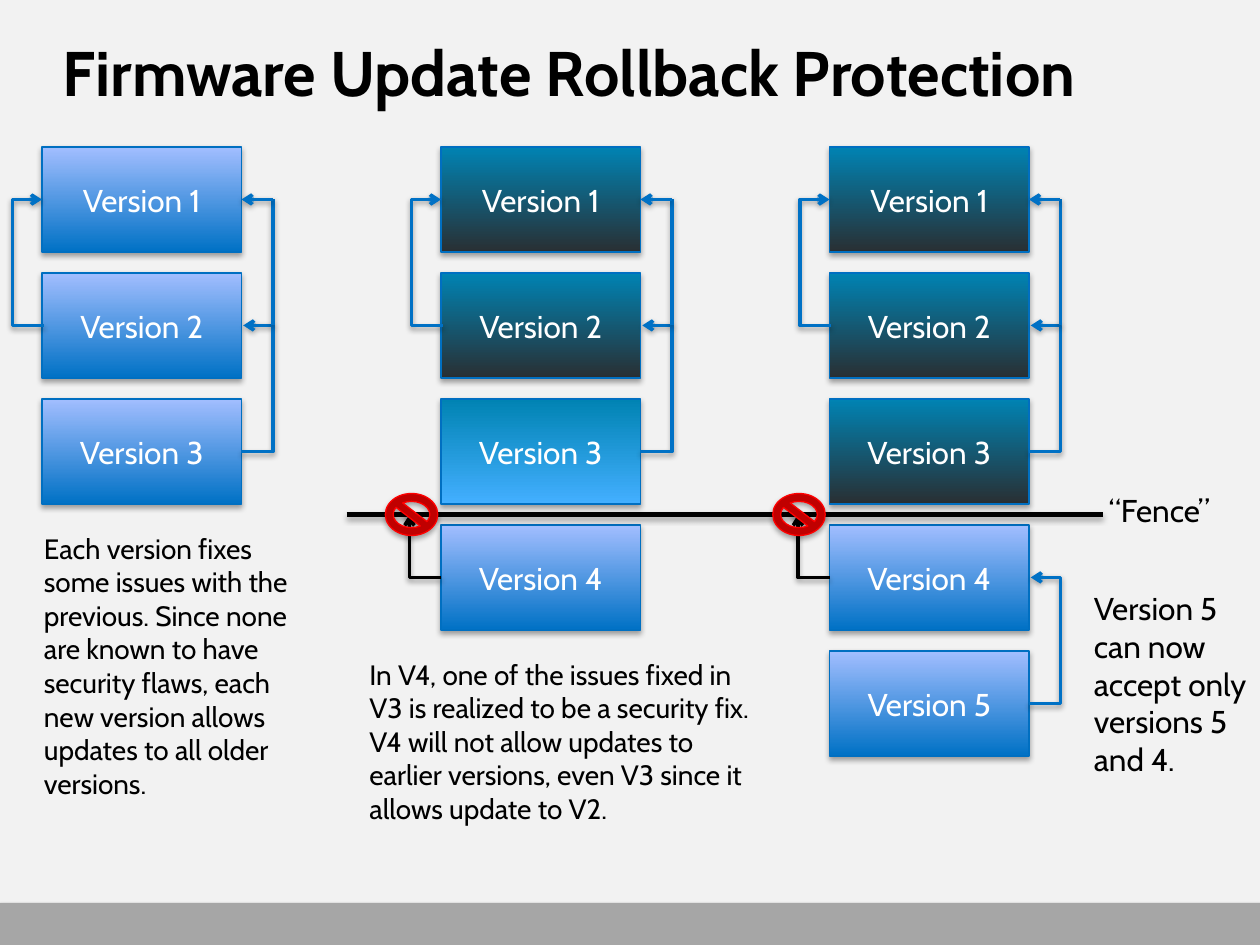
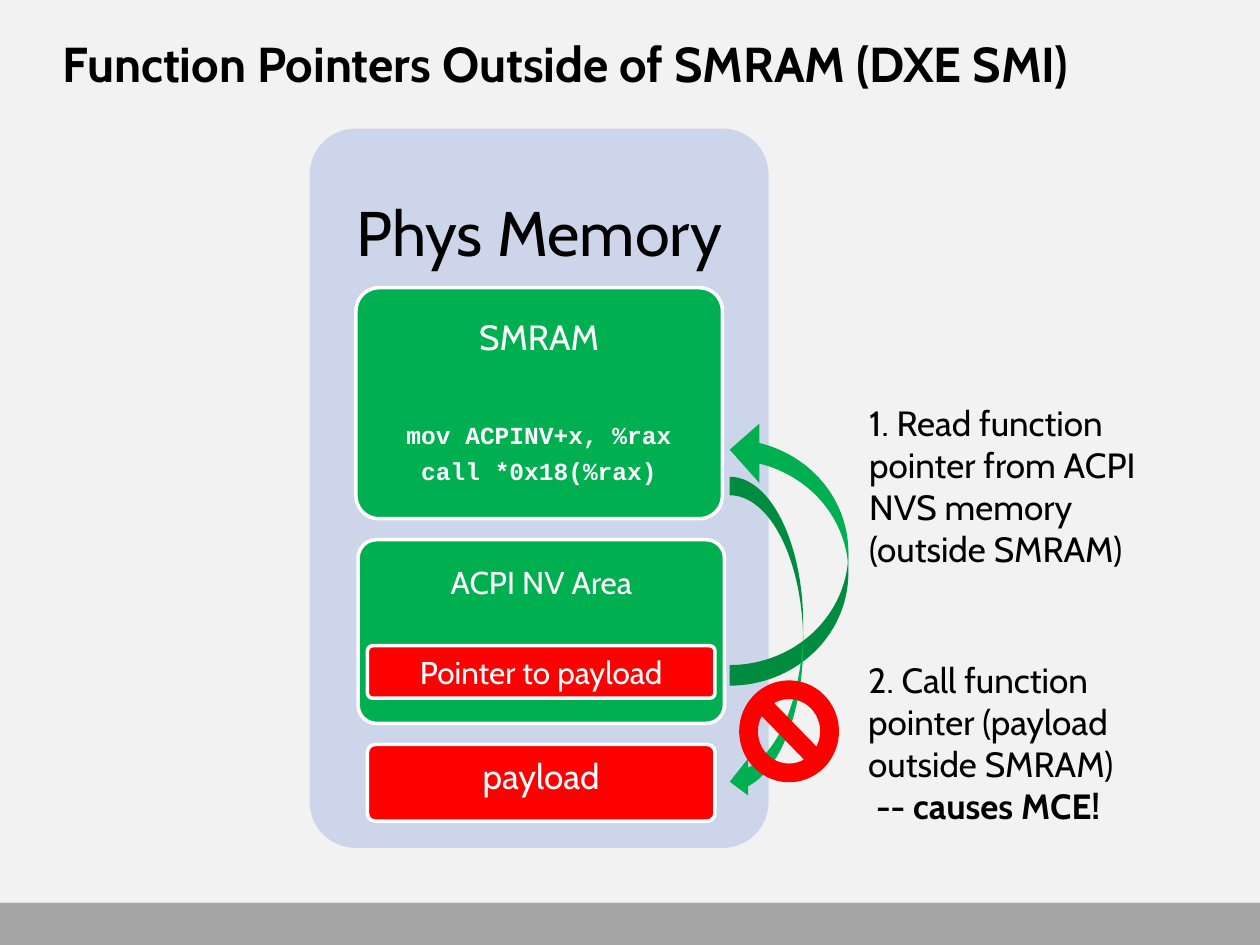
"""Builds two firmware security slides on a grid of 120 columns by 90 rows."""
from lxml.etree import SubElement
from pptx import Presentation
from pptx.dml.color import RGBColor
from pptx.enum.shapes import MSO_CONNECTOR as LINK, MSO_SHAPE as SHAPE
from pptx.enum.text import MSO_ANCHOR as ANCHOR, PP_ALIGN as ALIGN
from pptx.oxml.ns import qn
from pptx.util import Inches, Pt

BLACK = RGBColor(0x00, 0x00, 0x00)
WHITE = RGBColor(0xFF, 0xFF, 0xFF)
PAPER = RGBColor(0xF2, 0xF2, 0xF2)
BAND = RGBColor(0xA6, 0xA6, 0xA6)
BLUE = RGBColor(0x00, 0x71, 0xC5)
EDGE = RGBColor(0x00, 0x6F, 0xC1)
PERIWINKLE = RGBColor(0xA2, 0xBE, 0xFF)
TEAL = RGBColor(0x00, 0x83, 0xB3)
SKY = RGBColor(0x43, 0xAF, 0xFF)
CHARCOAL = RGBColor(0x29, 0x2F, 0x33)
RED = RGBColor(0xFF, 0x00, 0x00)
DARK_RED = RGBColor(0xC0, 0x00, 0x00)
GREEN = RGBColor(0x00, 0xB0, 0x50)
LAVENDER = RGBColor(0xCC, 0xD5, 0xEA)

ALLOWED = (BLUE, PERIWINKLE)
BLOCKED = (CHARCOAL, TEAL)
VULNERABLE = (SKY, TEAL)
TURNED = {"rot": "10800000"}
RISING = {"flipV": "1"}

COLUMNS, ROWS = 120, 90
BOX_W, BOX_H, STEP, FIRST_ROW = 19, 10, 12, 14
REACH, TIP = 3, 0.17


def apply(target, values):
    """Set every attribute named in values."""
    for name, value in values.items():
        setattr(target, name, value)


class Deck:
    """Holds the shared style and the slide being filled."""

    def __init__(self):
        """Start an empty deck with a 4:3 page."""
        self.show = Presentation()
        apply(self.show, {"slide_width": Inches(10), "slide_height": Inches(7.5)})
        self.slide = None

    def place(self, col, row, wide, high):
        """Turn grid cells into lengths."""
        width, height = self.show.slide_width, self.show.slide_height
        return (int(col * width / COLUMNS), int(row * height / ROWS),
                int(wide * width / COLUMNS), int(high * height / ROWS))

    def start(self, title, size):
        """Open a slide with its background, footer band and title."""
        self.slide = self.show.slides.add_slide(self.show.slide_layouts[6])
        backdrop = self.slide.background.fill
        backdrop.solid()
        backdrop.fore_color.rgb = PAPER
        self.shape(SHAPE.RECTANGLE, (0, 86, COLUMNS, 4), BAND, shadow=True)
        flush = dict.fromkeys(
            ("margin_left", "margin_top", "margin_right", "margin_bottom"), 0)
        self.note((6, 3.24, 108, 13), [(title, {"bold": True}, {})], size, flush)

    def cast(self, properties, distance):
        """Add a soft shadow below the element."""
        effects = properties.find(qn("a:effectLst"))
        if effects is None:
            effects = SubElement(properties, qn("a:effectLst"))
        shade = SubElement(effects, qn("a:outerShdw"), blurRad="40000",
                           dist=str(distance), dir="5400000", rotWithShape="0")
        colour = SubElement(shade, qn("a:srgbClr"), val="000000")
        SubElement(colour, qn("a:alpha"), val="35000")

    def typeset(self, frame, lines, size, colour, layout, spacing):
        """Fill a text frame with (text, font, paragraph) lines."""
        apply(frame, {"word_wrap": True, **layout})
        for index, (text, font, extra) in enumerate(lines):
            paragraph = frame.add_paragraph() if index else frame.paragraphs[0]
            apply(paragraph, {**spacing, **extra})
            run = paragraph.add_run()
            run.text = text
            apply(run.font, {"name": "Cabin", "size": Pt(size), **font})
            run.font.color.rgb = colour

    def note(self, cells, lines, size, layout=None):
        """Add black left-aligned text."""
        box = self.slide.shapes.add_textbox(*self.place(*cells))
        self.typeset(box.text_frame, lines, size, BLACK, layout or {}, {})

    def shape(self, kind, cells, fill, edge=None, weight=0.75, shadow=False,
              adjust=(), flip=None):
        """Add a preset shape with a solid fill or a rising gradient."""
        shape = self.slide.shapes.add_shape(kind, *self.place(*cells))
        if isinstance(fill, RGBColor):
            shape.fill.solid()
            shape.fill.fore_color.rgb = fill
        else:
            shape.fill.gradient()
            shape.fill.gradient_angle = 90
            for stop, colour, position in zip(shape.fill.gradient_stops, fill, (0, 1)):
                stop.color.rgb = colour
                stop.position = position
        if edge is None:
            shape.line.fill.background()
        else:
            shape.line.color.rgb = edge
            shape.line.width = Pt(weight)
        for index, value in enumerate(adjust):
            shape.adjustments[index] = value
        for name, value in (flip or {}).items():
            shape._element.spPr.xfrm.set(name, value)
        shape.shadow.inherit = False
        if shadow:
            self.cast(shape._element.spPr, 23000)
        return shape

    def version(self, number, col, fill):
        """Add the box of one firmware version."""
        row = FIRST_ROW + STEP * (number - 1)
        box = self.shape(SHAPE.RECTANGLE, (col, row, BOX_W, BOX_H), fill, EDGE, shadow=True)
        self.typeset(box.text_frame, [(f"Version {number}", {}, {})], 18, WHITE,
                     {"vertical_anchor": ANCHOR.MIDDLE}, {"alignment": ALIGN.CENTER})

    def panel(self, cells, fill, lines, size, ink=WHITE, edge=WHITE, layout=None, spacing=None):
        """Add a rounded memory region with centred text."""
        region = self.shape(SHAPE.ROUNDED_RECTANGLE, cells, fill, edge, 2, adjust=(0.1,))
        self.typeset(region.text_frame, lines, size, ink, layout or {},
                     {"alignment": ALIGN.CENTER, **(spacing or {})})

    def link(self, start, end, colour=BLUE, weight=2, arrow=True, kind=LINK.STRAIGHT,
             preset=None, bend=None, turn=None):
        """Add a straight or elbow connector between two grid points."""
        link = self.slide.shapes.add_connector(
            kind, *self.place(*start, *end))
        link.line.color.rgb = colour
        link.line.width = Pt(weight)
        if arrow:
            SubElement(link.get_or_add_ln(), qn("a:tailEnd"), type="arrow")
        properties = link._element.spPr
        for name, value in (turn or {}).items():
            properties.xfrm.set(name, value)
        geometry = properties.find(qn("a:prstGeom"))
        if preset:
            geometry.set("prst", preset)
        if bend:
            guides = geometry.find(qn("a:avLst"))
            if guides is None:
                guides = SubElement(geometry, qn("a:avLst"))
            SubElement(guides, qn("a:gd"), name="adj1", fmla=f"val {round(bend * 100000)}")
        self.cast(properties, 20000)

    def rollback(self, source, col, turn):
        """Loop an arrow from a version back to the one before."""
        end = self.middle(source)
        self.link((col, end - STEP), (col + TIP, end), kind=LINK.ELBOW,
                  bend=REACH / TIP, turn=turn)

    def refused(self, col):
        """Bend a black arrow from version 4 up to the fence."""
        end = self.middle(4)
        self.link((col - REACH, end - 6), (col, end), BLACK, kind=LINK.ELBOW,
                  preset="bentConnector2", turn=TURNED)

    def skip(self, col):
        """Extend the right-hand loop from version 2 up to version 1."""
        side, top = col + BOX_W + REACH, self.middle(1)
        self.link((side, top + STEP), (side, top), arrow=False)
        self.link((side, top), (col + BOX_W, top))

    def middle(self, number):
        """Return the row through the middle of a version box."""
        return FIRST_ROW + STEP * (number - 1) + BOX_H / 2


def rollback_slide(deck):
    """Show which versions each firmware state accepts."""
    deck.start("Firmware Update Rollback Protection", 36)
    histories = {
        4: [ALLOWED] * 3,
        42: [BLOCKED] * 2 + [VULNERABLE, ALLOWED],
        79: [BLOCKED] * 3 + [ALLOWED] * 2,
    }
    for col, fills in histories.items():
        for number, fill in enumerate(fills, 1):
            deck.version(number, col, fill)
    for cells, text, size in (
        ((3, 50, 27, 27.1), "Each version fixes some issues with the previous. Since none are "
         "known to have security flaws, each new version allows updates to all older versions.", 16),
        ((34, 62, 40, 17.4), "In V4, one of the issues fixed in V3 is realized to be a security "
         "fix. V4 will not allow updates to earlier versions, even V3 since it allows update "
         "to V2.", 16),
        ((103, 55.5, 17, 19.4), "Version 5 can now accept only versions 5 and 4.", 18),
        ((104.4, 46.2, 13, 4.8), "“Fence”", 18),
    ):
        deck.note(cells, [(text, {}, {})], size)
    for col in histories:
        deck.rollback(3, col + BOX_W, RISING)
        deck.rollback(2, col, TURNED)
        deck.skip(col)
    deck.rollback(5, 79 + BOX_W, RISING)
    deck.link((33, 49), (105, 49), BLACK, 3, arrow=False)
    for col, sign in ((42, 36.7), (79, 73.6)):
        deck.refused(col)
        deck.shape(SHAPE.NO_SYMBOL, (sign, 47, 5, 4), DARK_RED, RED, shadow=True)


def pointer_slide(deck):
    """Show how a pointer outside SMRAM leads to a payload."""
    deck.start("Function Pointers Outside of SMRAM (DXE SMI)", 28)
    tight = {"line_spacing": 0.9}
    centred = {"vertical_anchor": ANCHOR.MIDDLE}
    code = {"name": "Courier New", "size": Pt(14), "bold": True}
    deck.panel((29.5, 12.25, 43.7, 68.5), LAVENDER, [("Phys Memory", {}, {})], 36, BLACK, None,
               {"vertical_anchor": ANCHOR.TOP, "margin_top": Inches(0.48)}, tight)
    deck.panel((33.9, 27.4, 34.9, 22), GREEN, [
        ("SMRAM", {}, {"space_after": Pt(37)}),
        ("mov ACPINV+x, %rax", code, {"space_after": Pt(5.7)}),
        ("call *0x18(%rax)", code, {}),
    ], 20, layout=centred, spacing=tight)
    deck.panel((34.1, 51.4, 34.9, 17.5), GREEN, [("ACPI NV Area", {}, {})], 18,
               layout={"vertical_anchor": ANCHOR.TOP, "margin_top": Inches(0.18)}, spacing=tight)
    deck.panel((35, 70.9, 33.1, 7.3), RED, [("payload", {}, {})], 20,
               layout={**centred, "margin_top": Inches(0.04), "margin_bottom": Inches(0.12)},
               spacing=tight)
    deck.shape(SHAPE.CURVED_LEFT_ARROW, (69.5, 40, 11.3, 25.3), GREEN,
               adjust=(0.174, 0.5, 0.25), flip={**TURNED, "flipH": "1"})
    deck.panel((35, 61.5, 33.1, 5), RED, [("Pointer to payload", {}, {})], 18,
               layout={"vertical_anchor": ANCHOR.TOP})
    deck.shape(SHAPE.CURVED_LEFT_ARROW, (69.5, 45.4, 7, 30.8), GREEN, adjust=(0.252, 0.5, 0.25))
    deck.note((81.6, 37.6, 31.9, 17.4), [
        ("1. Read function pointer from ACPI NVS memory (outside SMRAM)", {}, {})], 20)
    deck.note((81.5, 62.1, 30.1, 17.4), [
        ("2. Call function pointer (payload outside SMRAM)", {}, {}),
        (" -- causes MCE!", {"bold": True}, {})], 20)
    deck.shape(SHAPE.NO_SYMBOL, (70.4, 64.8, 9.5, 9.7), RED)


def main():
    """Build and save the deck."""
    deck = Deck()
    rollback_slide(deck)
    pointer_slide(deck)
    deck.show.save("out.pptx")


if __name__ == "__main__":
    main()
